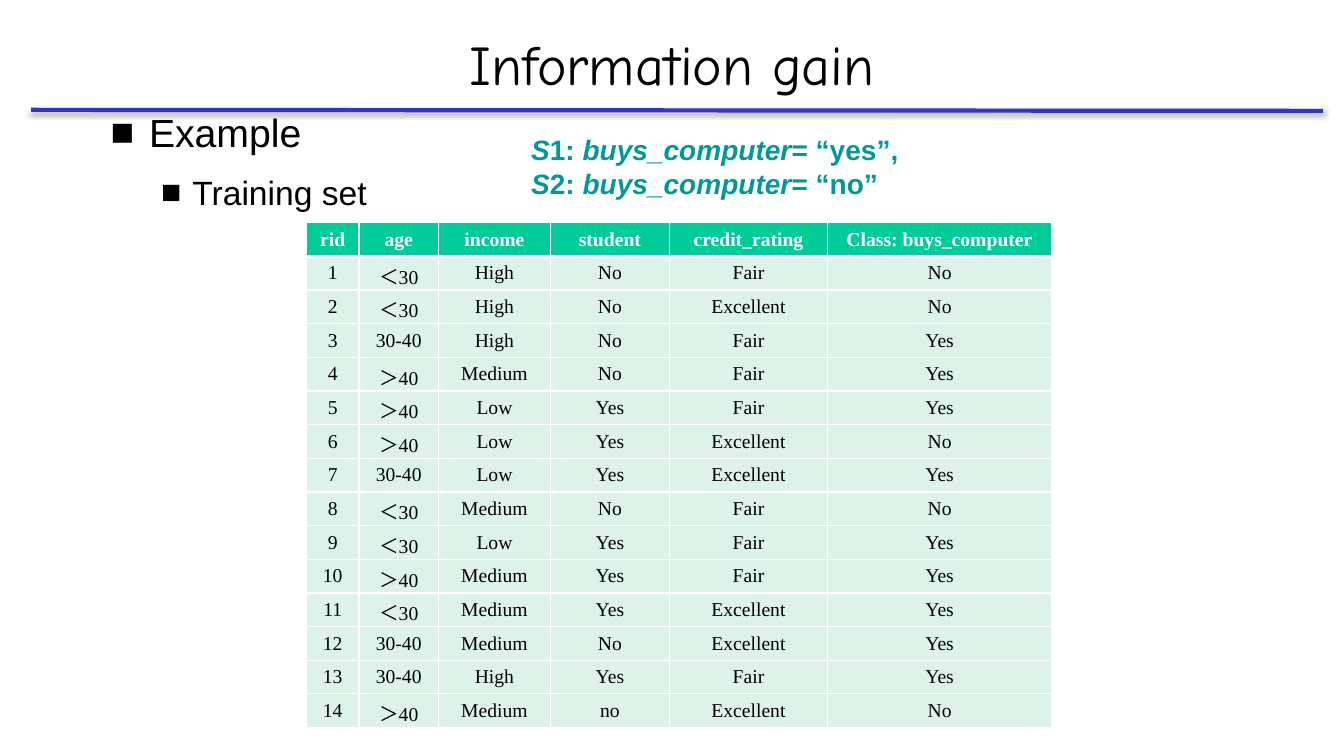
from lxml import etree
from pptx import Presentation
from pptx.dml.color import RGBColor
from pptx.enum.shapes import MSO_CONNECTOR
from pptx.enum.text import MSO_ANCHOR, PP_ALIGN
from pptx.oxml.ns import qn
from pptx.util import Inches, Pt

STRAIGHT = MSO_CONNECTOR.STRAIGHT
CENTER, LEFT = PP_ALIGN.CENTER, PP_ALIGN.LEFT
MIDDLE, TOP = MSO_ANCHOR.MIDDLE, MSO_ANCHOR.TOP

COLORS = {
    "text": "000000",
    "rule": "3333CC",
    "classes": "009999",
    "header": "00CC99",
    "row": "DDF3EA",
    "white": "FFFFFF",
}

TITLE = {"name": "Comic Neue", "size": Pt(40)}
EXAMPLE = {"name": "Arial", "size": Pt(28)}
TRAINING = {"name": "Arial", "size": Pt(24)}
CLASSES = {"name": "Arial", "size": Pt(20), "bold": True}
HEADER = {"name": "Times New Roman", "size": Pt(14), "bold": True}
VALUE = {"name": "Times New Roman", "size": Pt(14), "bold": False}

COLUMN_WIDTHS = [0.52, 0.79, 1.11, 1.18, 1.57, 2.22]
TABLE_HEIGHT = 5
HEADINGS = ["rid", "age", "income", "student", "credit_rating", "Class: buys_computer"]
RECORDS = [
    ["＜30", "High", "No", "Fair", "No"],
    ["＜30", "High", "No", "Excellent", "No"],
    ["30-40", "High", "No", "Fair", "Yes"],
    ["＞40", "Medium", "No", "Fair", "Yes"],
    ["＞40", "Low", "Yes", "Fair", "Yes"],
    ["＞40", "Low", "Yes", "Excellent", "No"],
    ["30-40", "Low", "Yes", "Excellent", "Yes"],
    ["＜30", "Medium", "No", "Fair", "No"],
    ["＜30", "Low", "Yes", "Fair", "Yes"],
    ["＞40", "Medium", "Yes", "Fair", "Yes"],
    ["＜30", "Medium", "Yes", "Excellent", "Yes"],
    ["30-40", "Medium", "No", "Excellent", "Yes"],
    ["30-40", "High", "Yes", "Fair", "Yes"],
    ["＞40", "Medium", "no", "Excellent", "No"],
]


def add_child(parent, tag, **attributes):
    child = etree.SubElement(parent, qn(tag))
    for name, value in attributes.items():
        child.set(name, str(value))
    return child


def add_span(para, text, color, font_values):
    span = para.add_run()
    span.text = text
    for name, value in font_values.items():
        setattr(span.font, name, value)
    span.font.color.rgb = RGBColor.from_string(COLORS[color])


def add_box(page, left, top, width, height, anchor=TOP):
    box = page.shapes.add_textbox(Inches(left), Inches(top), Inches(width), Inches(height))
    box.text_frame.word_wrap = True
    box.text_frame.vertical_anchor = anchor
    return box.text_frame


def add_bullet(para, text, font_values, margin, hanging, level):
    para.level = level
    para.space_before = para.space_after = Pt(5.6)
    properties = para._p.get_or_add_pPr()
    properties.set("marL", str(Inches(margin)))
    properties.set("indent", str(-Inches(hanging)))
    add_child(properties, "a:buFont", typeface="Arial")
    add_child(properties, "a:buChar", char="■")
    add_span(para, text, "text", font_values)


def add_rule(page):
    rule = page.shapes.add_connector(
        STRAIGHT, Inches(0.31), Inches(1.09), Inches(13.12), Inches(1.1)
    )
    rule.line.color.rgb = RGBColor.from_string(COLORS["rule"])
    rule.line.width = Pt(3)
    effects = add_child(rule._element.spPr, "a:effectLst")
    shadow = add_child(
        effects, "a:outerShdw", blurRad=Pt(3.1), dist=Pt(1.8), dir=90 * 60000, rotWithShape=0
    )
    shade = add_child(shadow, "a:srgbClr", val=COLORS["text"])
    add_child(shade, "a:alpha", val=35000)


def add_classes(page):
    para = add_box(page, 5.17, 1.27, 5, 0.77).paragraphs[0]
    for number, value in enumerate(["“yes”, ", "“no”"], start=1):
        if number > 1:
            para.add_line_break()
        parts = ["S", f"{number}: ", "buys_computer", f"= {value}"]
        for index, part in enumerate(parts):
            add_span(para, part, "classes", {**CLASSES, "italic": index % 2 == 0})


def set_borders(cell, widths):
    properties = cell._tc.get_or_add_tcPr()
    for side, width in widths.items():
        border = add_child(properties, f"a:ln{side}", w=Pt(width))
        fill = add_child(border, "a:solidFill")
        add_child(fill, "a:srgbClr", val=COLORS["white"])


def fill_cell(cell, text, row):
    is_header = row == 0
    set_borders(cell, {"L": 1, "R": 1, "T": 3 if row == 1 else 1, "B": 3 if is_header else 1})
    cell.fill.solid()
    cell.fill.fore_color.rgb = RGBColor.from_string(COLORS["header" if is_header else "row"])
    cell.vertical_anchor = MIDDLE
    para = cell.text_frame.paragraphs[0]
    para.alignment = CENTER
    add_span(para, text, "white" if is_header else "text", HEADER if is_header else VALUE)


def add_training_table(page):
    rows = [HEADINGS] + [[str(rid), *record] for rid, record in enumerate(RECORDS, start=1)]
    table = page.shapes.add_table(
        len(rows), len(HEADINGS), Inches(3.04), Inches(2.21),
        Inches(sum(COLUMN_WIDTHS)), Inches(TABLE_HEIGHT),
    ).table
    table.horz_banding = False
    for column, width in zip(table.columns, COLUMN_WIDTHS):
        column.width = Inches(width)
    for row, values in enumerate(rows):
        table.rows[row].height = Inches(TABLE_HEIGHT / len(rows))
        for column, text in enumerate(values):
            fill_cell(table.cell(row, column), text, row)


def main():
    deck = Presentation()
    deck.slide_width = Inches(13.33)
    deck.slide_height = Inches(7.5)
    page = deck.slides.add_slide(deck.slide_layouts[6])
    add_rule(page)
    title = add_box(page, 0, 0.21, 13.33, 0.83, MIDDLE).paragraphs[0]
    title.alignment = CENTER
    add_span(title, "Information gain", "text", TITLE)
    body = add_box(page, 1, 1.03, 12.07, 5.85)
    add_bullet(body.paragraphs[0], "Example", EXAMPLE, 0.38, 0.38, 0)
    add_bullet(body.add_paragraph(), "Training set", TRAINING, 0.81, 0.31, 1)
    for para in body.paragraphs:
        para.alignment = LEFT
    add_classes(page)
    add_training_table(page)
    deck.save("out.pptx")


if __name__ == "__main__":
    main()
